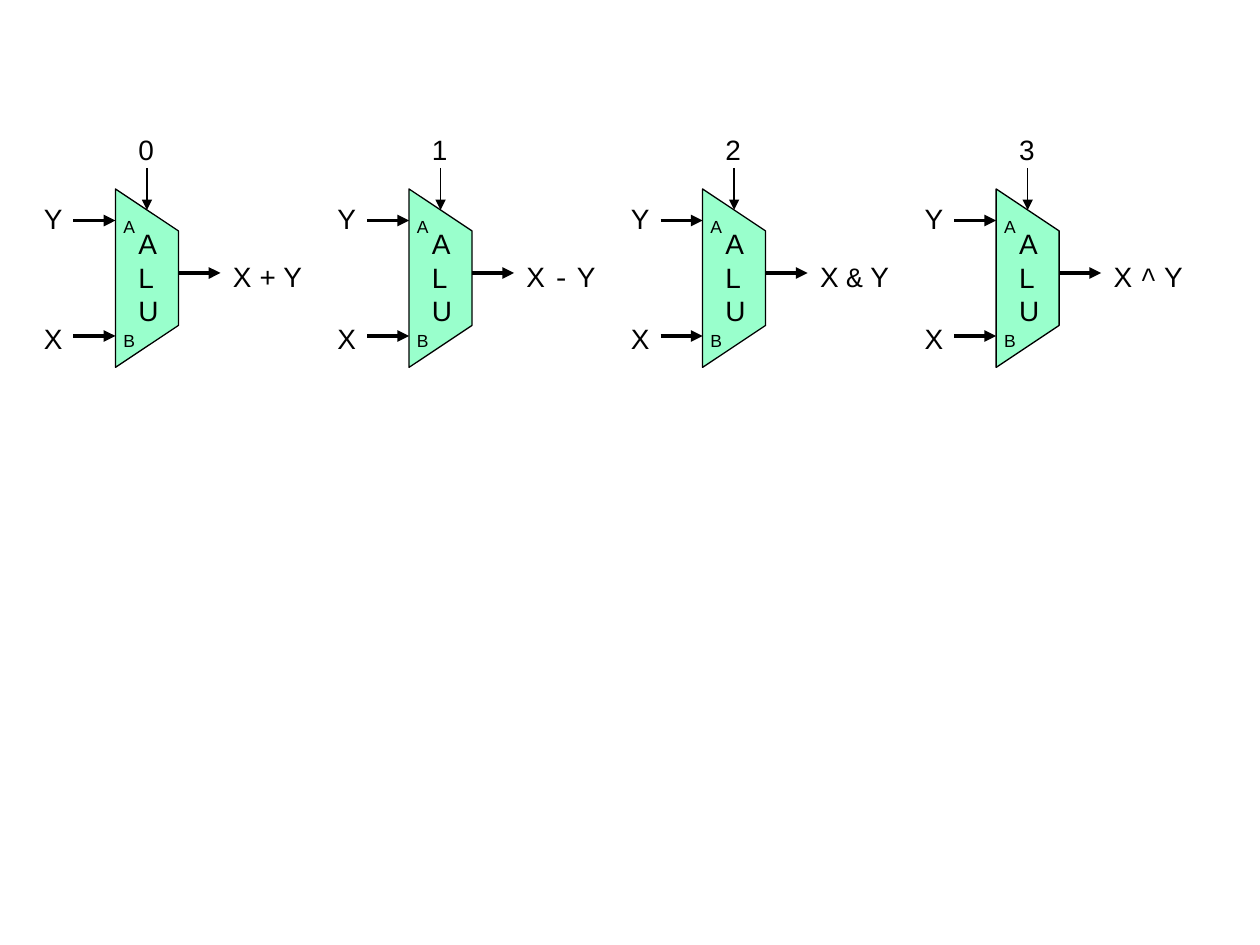
from typing import NamedTuple

import pptx
import pptx.dml.color
import pptx.enum.shapes
import pptx.enum.text
import pptx.oxml
import pptx.oxml.ns
import pptx.util

Pt = pptx.util.Pt
BLACK = pptx.dml.color.RGBColor(0x00, 0x00, 0x00)
MINT = pptx.dml.color.RGBColor(0x99, 0xFF, 0xCC)
SANS = "Arial"
MONO = "Courier New"
PITCH = 167.75


class Operation(NamedTuple):
    code: str
    symbol: str


class Arrow(NamedTuple):
    x1: float
    y1: float
    x2: float
    y2: float
    width: float


class Label(NamedTuple):
    x: float
    y: float
    w: float
    h: float
    paragraphs: list[list[tuple[str, str]]]
    size: float = 16
    wrap: bool = False


OPERATIONS = [
    Operation("0", "+"),
    Operation("1", "-"),
    Operation("2", "&"),
    Operation("3", "^"),
]
ARROWS = [
    Arrow(42, 126, 66, 126, 2.25),
    Arrow(84, 96, 84, 120, 0.75),
    Arrow(42, 192, 66, 192, 2.25),
    Arrow(102, 156, 126, 156, 2.25),
]
BODY = [(66, 108), (102, 132), (102, 186), (66, 210)]
PORTS = [
    Label(63.4, 120, 21, 19.4, [[("A", SANS)]], 10),
    Label(63.4, 185, 21, 19.4, [[("B", SANS)]], 10),
]


def unit_labels(op: Operation) -> list[Label]:
    return [
        Label(72, 126, 30, 64.8, [[(c, SANS)] for c in "ALU"], wrap=True),
        Label(18, 111.6, 25, 26.6, [[("Y", SANS)]]),
        Label(18, 180, 25, 26.6, [[("X", SANS)]]),
        Label(126, 144.7, 54, 26.6,
              [[("X ", SANS), (op.symbol, MONO), (" Y", SANS)]]),
        Label(72, 72, 23.2, 26.6, [[(op.code, SANS)]]),
    ]


def add_arrow(shapes, arrow: Arrow, dx: float) -> None:
    cn = shapes.add_connector(
        pptx.enum.shapes.MSO_CONNECTOR.STRAIGHT,
        Pt(arrow.x1 + dx), Pt(arrow.y1), Pt(arrow.x2 + dx), Pt(arrow.y2))
    cn.line.color.rgb = BLACK
    cn.line.width = Pt(arrow.width)
    tail = pptx.oxml.parse_xml(
        f'<a:tailEnd {pptx.oxml.ns.nsdecls("a")} type="triangle"/>')
    cn.line._get_or_add_ln().append(tail)
    cn._element.spPr.append(
        pptx.oxml.parse_xml(f'<a:effectLst {pptx.oxml.ns.nsdecls("a")}/>'))


def add_body(shapes, dx: float) -> None:
    points = [(Pt(x + dx), Pt(y)) for x, y in BODY]
    fb = shapes.build_freeform(*points[0])
    fb.add_line_segments(points[1:], close=True)
    sp = fb.convert_to_shape()
    sp.shadow.inherit = False
    sp.fill.solid()
    sp.fill.fore_color.rgb = MINT
    sp.line.color.rgb = BLACK
    sp.line.width = Pt(0.75)


def add_label(shapes, label: Label, dx: float) -> None:
    sp = shapes.add_textbox(
        Pt(label.x + dx), Pt(label.y), Pt(label.w), Pt(label.h))
    tf = sp.text_frame
    tf.word_wrap = label.wrap
    tf.auto_size = pptx.enum.text.MSO_AUTO_SIZE.SHAPE_TO_FIT_TEXT
    for i, runs in enumerate(label.paragraphs):
        p = tf.add_paragraph() if i else tf.paragraphs[0]
        for text, font in runs:
            r = p.add_run()
            r.text = text
            r.font.name = font
            r.font.size = Pt(label.size)
            r.font.color.rgb = BLACK


def add_unit(shapes, op: Operation, dx: float) -> None:
    for arrow in ARROWS[:2]:
        add_arrow(shapes, arrow, dx)
    add_body(shapes, dx)
    alu, *outer = unit_labels(op)
    add_label(shapes, alu, dx)
    for arrow in ARROWS[2:]:
        add_arrow(shapes, arrow, dx)
    for label in outer:
        add_label(shapes, label, dx)


def main() -> None:
    prs = pptx.Presentation()
    prs.slide_width = Pt(720)
    prs.slide_height = Pt(540)
    s = prs.slides.add_slide(prs.slide_layouts[6])
    for i, op in enumerate(OPERATIONS):
        add_unit(s.shapes.add_group_shape().shapes, op, i * PITCH)
    for i in range(len(OPERATIONS)):
        ports = s.shapes.add_group_shape().shapes
        for label in PORTS:
            add_label(ports, label, i * PITCH)
    prs.save("out.pptx")


if __name__ == "__main__":
    main()
